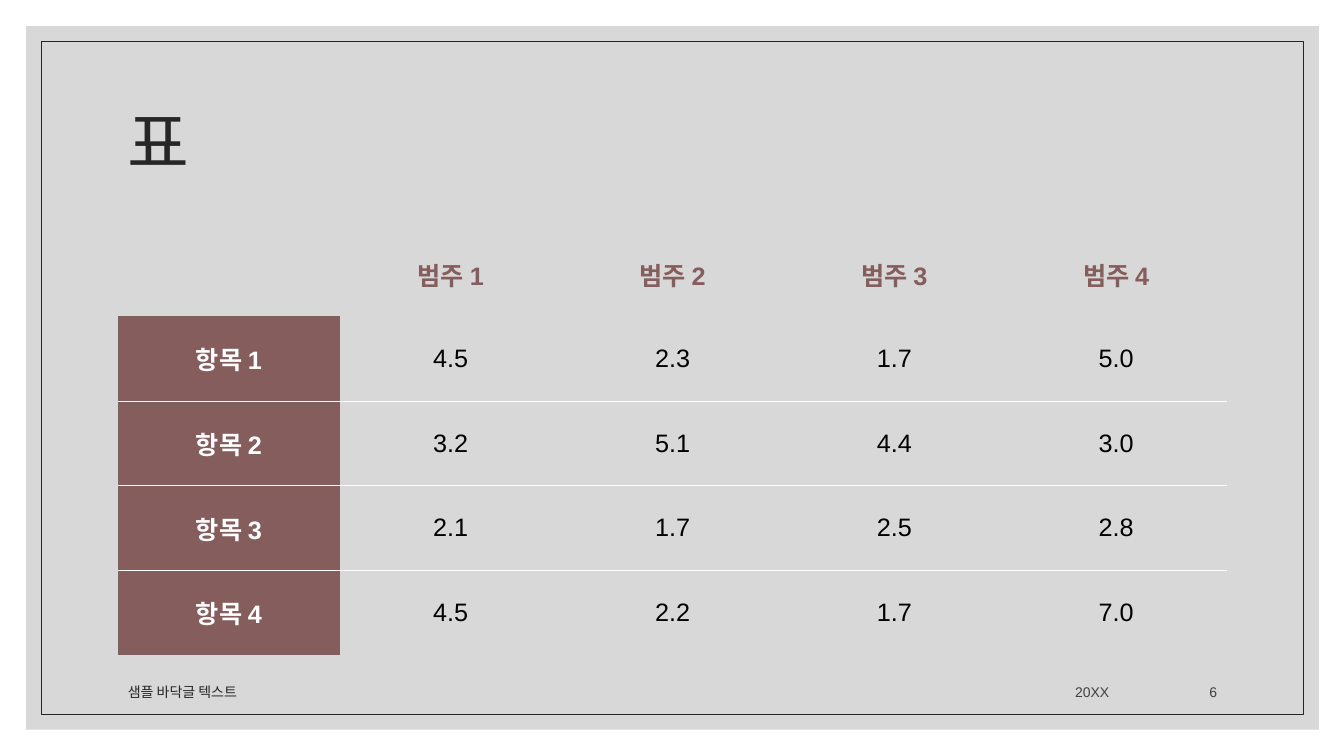
"""Build a slide with a table of four items by four categories."""
from dataclasses import dataclass

from lxml.etree import SubElement
from pptx import Presentation
from pptx.dml.color import RGBColor
from pptx.enum.shapes import MSO_SHAPE
from pptx.enum.text import MSO_ANCHOR as Anchor, PP_ALIGN as Align
from pptx.oxml.ns import qn
from pptx.slide import Slide
from pptx.table import _Cell as Cell
from pptx.text.text import TextFrame
from pptx.util import Pt

EMU_PER_PX = 9144
FONT = "Arial"
COLORS = {
    "panel": "BFBFBF",
    "ink": "262626",
    "muted": "404040",
    "accent": "855D5D",
    "white": "FFFFFF",
    "black": "000000",
}
CATEGORIES = ["범주 1", "범주 2", "범주 3", "범주 4"]
ITEMS = {
    "항목 1": [4.5, 2.3, 1.7, 5.0],
    "항목 2": [3.2, 5.1, 4.4, 3.0],
    "항목 3": [2.1, 1.7, 2.5, 2.8],
    "항목 4": [4.5, 2.2, 1.7, 7.0],
}
COLUMN_WIDTH, ROW_HEIGHT = 220, 84
TABLE_LEFT, TABLE_TOP = 117, 230


@dataclass(frozen=True)
class Box:
    left: int
    top: int
    width: int
    height: int

    def emu(self) -> list[int]:
        return [px(n) for n in (self.left, self.top, self.width, self.height)]


@dataclass(frozen=True)
class Label:
    text: str
    box: Box
    size: int = 10
    color: str = "muted"
    align: Align = Align.RIGHT
    anchor: Anchor = Anchor.BOTTOM
    line_spacing: float = 1.0


@dataclass(frozen=True)
class Panel:
    box: Box
    fill: str | None = None
    opacity: int = 100
    line: str | None = None


PANELS = [
    Panel(Box(26, 26, 1282, 698), fill="panel", opacity=60),
    Panel(Box(41, 41, 1252, 668), line="ink"),
]
LABELS = [
    Label("표", Box(117, 70, 1100, 150), size=48, color="ink", align=Align.LEFT,
          anchor=Anchor.MIDDLE, line_spacing=0.9),
    Label("20XX", Box(794, 660, 316, 40)),
    Label("샘플 바닥글 텍스트", Box(117, 660, 636, 40), color="ink", align=Align.LEFT),
    Label("6", Box(1125, 660, 92, 40)),
]


def px(length: int) -> int:
    return length * EMU_PER_PX


def rgb(name: str) -> RGBColor:
    return RGBColor.from_string(COLORS[name])


def write_text(frame: TextFrame, text: str, *, size: int, color: str,
               align: Align = Align.CENTER, bold: bool = False,
               line_spacing: float = 1.0) -> None:
    paragraph = frame.paragraphs[0]
    paragraph.alignment = align
    paragraph.line_spacing = line_spacing
    run = paragraph.add_run()
    run.text = text
    run.font.name = FONT
    run.font.size = Pt(size)
    run.font.bold = bold
    run.font.color.rgb = rgb(color)


def add_panel(slide: Slide, panel: Panel) -> None:
    shape = slide.shapes.add_shape(MSO_SHAPE.RECTANGLE, *panel.box.emu())
    shape.shadow.inherit = False
    if panel.fill:
        shape.fill.solid()
        shape.fill.fore_color.rgb = rgb(panel.fill)
        color = shape.fill._xPr.find(f".//{qn('a:srgbClr')}")
        SubElement(color, qn("a:alpha"), val=str(panel.opacity * 1000))
    else:
        shape.fill.background()
    if panel.line:
        shape.line.color.rgb = rgb(panel.line)
        shape.line.width = Pt(0.5)
    else:
        shape.line.fill.background()


def add_label(slide: Slide, label: Label) -> None:
    frame = slide.shapes.add_textbox(*label.box.emu()).text_frame
    frame.word_wrap = True
    frame.vertical_anchor = label.anchor
    write_text(frame, label.text, size=label.size, color=label.color,
               align=label.align, line_spacing=label.line_spacing)


def set_borders(cell: Cell, white_sides: str) -> None:
    properties = cell._tc.get_or_add_tcPr()
    for side in "LRTB":
        border = SubElement(properties, qn(f"a:ln{side}"), w=str(Pt(1)))
        if side in white_sides:
            fill = SubElement(border, qn("a:solidFill"))
            SubElement(fill, qn("a:srgbClr"), val=COLORS["white"])
        else:
            SubElement(border, qn("a:noFill"))


def add_item_table(slide: Slide) -> None:
    rows = [["", *CATEGORIES]]
    rows += [[item, *(f"{value:.1f}" for value in values)] for item, values in ITEMS.items()]
    row_count, column_count = len(rows), len(rows[0])
    box = Box(TABLE_LEFT, TABLE_TOP, column_count * COLUMN_WIDTH, row_count * ROW_HEIGHT)
    table = slide.shapes.add_table(row_count, column_count, *box.emu()).table
    table.first_row = table.horz_banding = False
    for row, texts in enumerate(rows):
        white_sides = ("T" if row > 1 else "") + ("B" if 0 < row < row_count - 1 else "")
        for column, text in enumerate(texts):
            cell = table.cell(row, column)
            cell.vertical_anchor = Anchor.MIDDLE
            set_borders(cell, white_sides)
            is_header, is_item = row == 0, row > 0 and column == 0
            if is_item:
                cell.fill.solid()
                cell.fill.fore_color.rgb = rgb("accent")
            else:
                cell.fill.background()
            if text:
                color = "accent" if is_header else "white" if is_item else "black"
                write_text(cell.text_frame, text, size=18, color=color,
                           bold=is_header or is_item)


def main() -> None:
    presentation = Presentation()
    presentation.slide_width, presentation.slide_height = px(1333), px(750)
    slide = presentation.slides.add_slide(presentation.slide_layouts[6])
    for panel in PANELS:
        add_panel(slide, panel)
    add_item_table(slide)
    for label in LABELS:
        add_label(slide, label)
    presentation.save("out.pptx")


if __name__ == "__main__":
    main()
